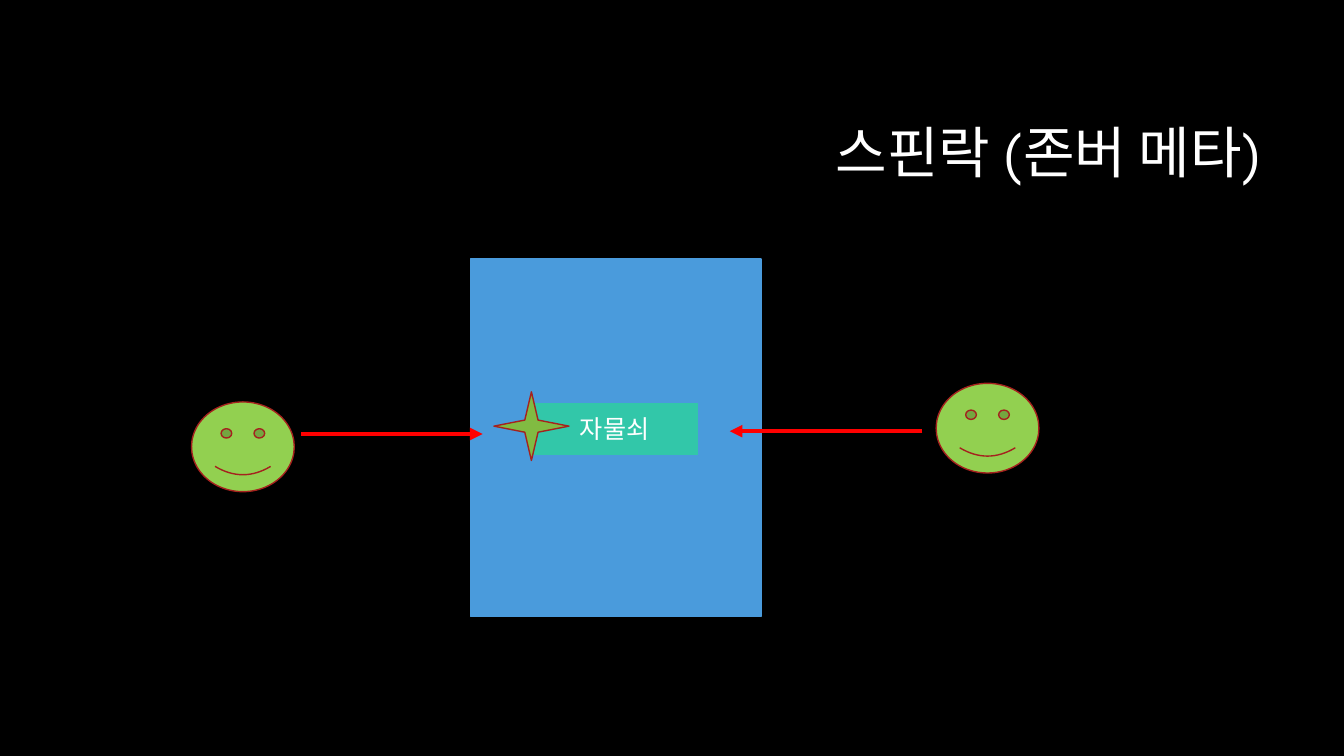
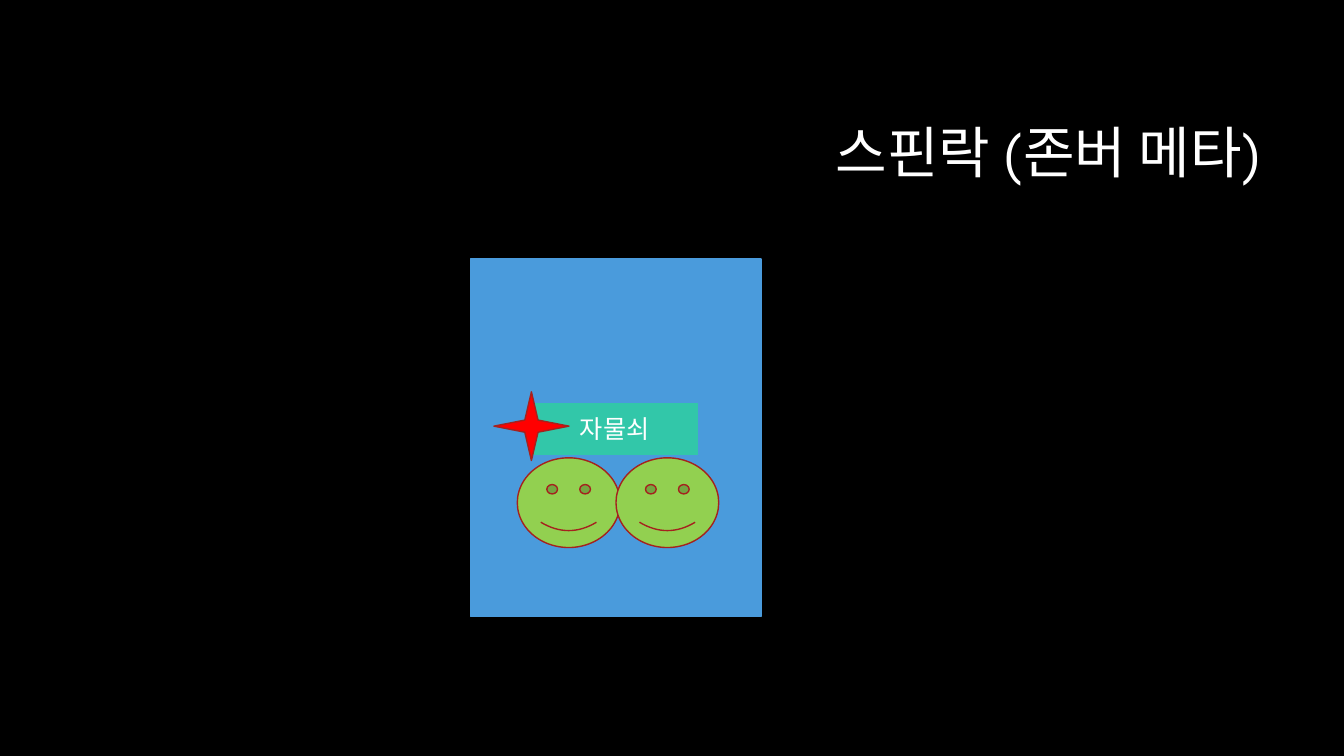
from dataclasses import dataclass

import pptx
import pptx.dml.color
import pptx.enum.shapes
import pptx.enum.text
import pptx.oxml.ns
import pptx.util
from lxml import etree

Pt = pptx.util.Pt
SHAPE = pptx.enum.shapes.MSO_SHAPE
ALIGN = pptx.enum.text.PP_ALIGN

FONT = "TeX Gyre Adventor"
COLORS = {
    "background": "000000",
    "text": "FFFFFF",
    "room": "4A9BDC",
    "lock": "32C7A9",
    "open": "81BB42",
    "locked": "FF0000",
    "face": "92D050",
    "outline": "A5221E",
    "arrow": "FF0000",
}
FACE_SIZE = (73.4, 64.1)


@dataclass(frozen=True)
class Block:
    kind: int
    left: float
    top: float
    width: float
    height: float
    fill: str
    line: str


@dataclass(frozen=True)
class Arrow:
    start: float
    end: float
    y: float


@dataclass(frozen=True)
class Scene:
    light: str
    faces: tuple[tuple[float, float], ...]
    arrows: tuple[Arrow, ...] = ()


ROOM = Block(SHAPE.RECTANGLE, 336.2, 185, 207.4, 255.6, "room", "room")
LOCK = Block(SHAPE.RECTANGLE, 379.4, 287.3, 119.5, 38.2, "lock", "room")

SCENES = (
    Scene("open", ((136.8, 287.1), (668.7, 273.8)),
          (Arrow(658.8, 521.3, 308), Arrow(215.1, 344.7, 310))),
    Scene("locked", ((369.5, 327), (440, 327))),
)


def rgb(name: str) -> pptx.dml.color.RGBColor:
    return pptx.dml.color.RGBColor.from_string(COLORS[name])


def write(sp, text: str, size: float, align: int) -> None:
    tf = sp.text_frame
    tf.word_wrap = True
    tf.vertical_anchor = pptx.enum.text.MSO_ANCHOR.MIDDLE
    p = tf.paragraphs[0]
    p.text = text
    p.alignment = align
    p.font.name = FONT
    p.font.size = Pt(size)
    p.font.color.rgb = rgb("text")


def add_block(s, block: Block):
    sp = s.shapes.add_shape(block.kind, Pt(block.left), Pt(block.top),
                            Pt(block.width), Pt(block.height))
    sp.shadow.inherit = False
    sp.fill.solid()
    sp.fill.fore_color.rgb = rgb(block.fill)
    sp.line.color.rgb = rgb(block.line)
    sp.line.width = Pt(1)
    return sp


def add_arrow(s, arrow: Arrow) -> None:
    line = s.shapes.add_connector(pptx.enum.shapes.MSO_CONNECTOR.STRAIGHT,
                                  Pt(arrow.start), Pt(arrow.y), Pt(arrow.end), Pt(arrow.y))
    line.line.color.rgb = rgb("arrow")
    line.line.width = Pt(3)
    qn = pptx.oxml.ns.qn
    etree.SubElement(line.line._get_or_add_ln(), qn("a:tailEnd"), type="triangle")
    etree.SubElement(line._element.spPr, qn("a:effectLst"))


def add_title(s, text: str) -> None:
    sp = s.shapes.add_textbox(Pt(127.4), Pt(60.5), Pt(781.2), Pt(101.5))
    write(sp, text, 40, ALIGN.RIGHT)
    sp.text_frame.paragraphs[0].line_spacing = 0.9


def add_scene(prs, scene: Scene) -> None:
    s = prs.slides.add_slide(prs.slide_layouts[6])
    s.background.fill.solid()
    s.background.fill.fore_color.rgb = rgb("background")

    # Room with its lock and signal light
    add_block(s, ROOM)
    write(add_block(s, LOCK), "자물쇠", 18, ALIGN.CENTER)
    add_block(s, Block(SHAPE.STAR_4_POINT, 352.8, 279.9, 53.6, 49, scene.light, "outline"))

    # Waiting faces
    for left, top in scene.faces:
        add_block(s, Block(SHAPE.SMILEY_FACE, left, top, *FACE_SIZE, "face", "outline"))

    add_title(s, "스핀락 (존버 메타)")
    for arrow in scene.arrows:
        add_arrow(s, arrow)


prs = pptx.Presentation()
prs.slide_width, prs.slide_height = Pt(960), Pt(540)
for scene in SCENES:
    add_scene(prs, scene)
prs.save("out.pptx")
